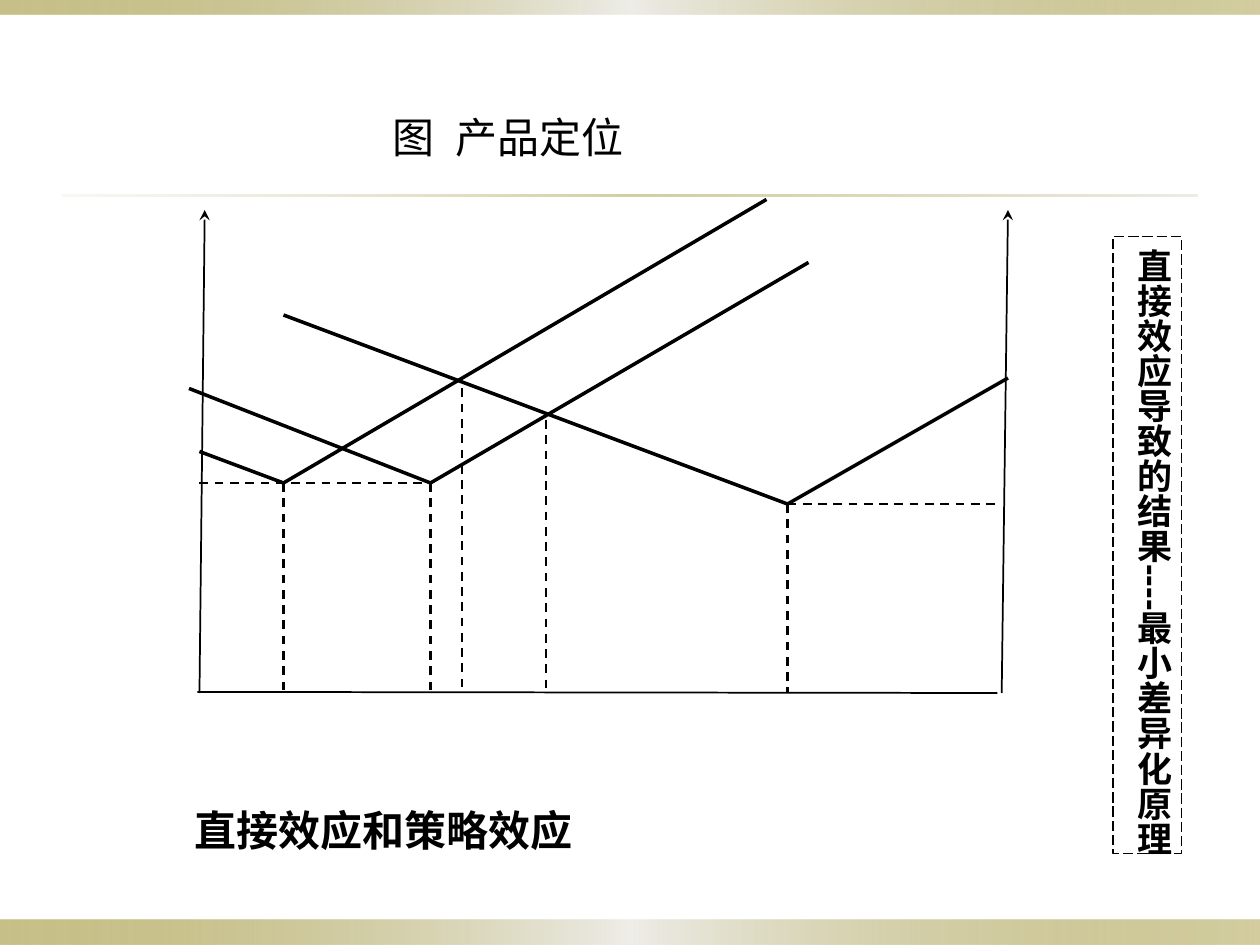
from lxml import etree
from pptx import Presentation, util as u
from pptx.dml.color import RGBColor
from pptx.enum import dml, shapes, text
from pptx.oxml.ns import qn

BLACK = RGBColor(0, 0, 0)
OLIVE = RGBColor(0x91, 0x84, 0x15)
PALE = RGBColor(0xEE, 0xED, 0xE8)
SAND = RGBColor(0xDC, 0xD9, 0xCC)
CELL = u.Inches(10) // 120  # grid of 120 columns by 90 rows


def grid(*cells):
    return [round(c * CELL) for c in cells]


def band(slide, box, stops):
    """Gradient strip; each stop is a colour and its opacity in percent."""
    bar = slide.shapes.add_shape(shapes.MSO_SHAPE.RECTANGLE, *grid(*box))
    bar.shadow.inherit = False
    bar.line.fill.background()
    bar.fill.gradient()
    bar.fill.gradient_angle = 0
    row = bar._element.spPr.find(qn("a:gradFill")).find(qn("a:gsLst"))
    for old in list(row):
        row.remove(old)
    for i, (tint, alpha) in enumerate(stops):
        stop = etree.SubElement(row, qn("a:gs"), pos=str(i * 50000))
        clr = etree.SubElement(stop, qn("a:srgbClr"), val=str(tint))
        etree.SubElement(clr, qn("a:alpha"), val=str(alpha * 1000))


def frame(slide):
    """Strips at the bottom and top, and the rule under the title."""
    edge = [(OLIVE, 50), (PALE, 100), (OLIVE, 40)]
    band(slide, (0, 87.6, 120, 2.4), edge)
    band(slide, (0, 0, 120, 1.4), edge)
    band(slide, (6, 18.5, 108, 0.25), [(SAND, 20), (OLIVE, 40), (SAND, 50)])


def stroke(slide, box, ends, width, dash=None, arrow=False):
    """Line between two points counted from the corner of the box."""
    left, top = box[:2]
    x1, y1, x2, y2 = ends
    line = slide.shapes.add_connector(
        shapes.MSO_CONNECTOR.STRAIGHT,
        *grid(left + x1, top + y1, left + x2, top + y2))
    line.line.color.rgb = BLACK
    line.line.width = u.Pt(width)
    if dash:
        line.line.dash_style = dash
    if arrow:
        etree.SubElement(line.line._get_or_add_ln(), qn("a:headEnd"), type="stealth")
    etree.SubElement(line._element.spPr, qn("a:effectLst"))


def chart(slide, box):
    """Two axes on a base line, three V-shaped cost curves and their guides."""
    wide, base = box[2:]
    low, deep = 27, 29         # rows of the curve bottoms
    one, two, rival = 9, 23, 57  # columns of the three firms
    # Axes
    stroke(slide, box, (0.8, base - 0.1, wide - 1, base), 1)
    stroke(slide, box, (1.5, 1, 1, base), 1, arrow=True)
    stroke(slide, box, (wide, 1, wide - 0.6, base), 1, arrow=True)
    # Curves: firm's bottom, then the far ends of its arms
    for x, y, *arms in ((one, low, (1, 24), (55, 0)),
                        (two, low, (0, 18), (59, 6)),
                        (rival, deep, (9, 11), (wide, 17))):
        for arm in arms:
            stroke(slide, box, (x, y, *arm), 2)
    # Dashed guides
    drops = [(x, y, x, base) for x, y in
             ((one, low), (two, low), (26, 18), (34, 21), (rival, deep))]
    levels = [(1, low, two, low), (rival, deep, wide - 1, deep)]
    for ends in drops + levels:
        stroke(slide, box, ends, 1.25, dml.MSO_LINE.DASH)


def write(shape, runs, size, bold=False):
    """Centred black text; each run is its words and extra letter spacing."""
    body = shape.text_frame
    body.word_wrap = False
    body.auto_size = text.MSO_AUTO_SIZE.SHAPE_TO_FIT_TEXT
    body.vertical_anchor = text.MSO_ANCHOR.TOP
    para = body.paragraphs[0]
    para.alignment = text.PP_ALIGN.CENTER
    for words, gap in runs:
        run = para.add_run()
        run.text = words
        run.font.name = "Arial"
        run.font.size = u.Pt(size)
        run.font.bold = bold
        run.font.color.rgb = BLACK
        if gap:
            run._r.get_or_add_rPr().set("spc", str(gap))


def label(slide, box, runs, bold=False):
    write(slide.shapes.add_textbox(*grid(*box)), runs, 24, bold)


def side(slide, box):
    """Dashed box with text that runs downwards."""
    note = slide.shapes.add_shape(shapes.MSO_SHAPE.RECTANGLE, *grid(*box))
    note.shadow.inherit = False
    note.fill.background()
    note.line.color.rgb = BLACK
    note.line.width = u.Pt(0.75)
    note.line.dash_style = dml.MSO_LINE.LONG_DASH
    write(note, [("直接效应导致的结果----最小差异化原理", 0)], 20, True)
    note.text_frame._txBody.bodyPr.set("vert", "eaVert")


def main():
    deck = Presentation()
    deck.slide_width, deck.slide_height = grid(120, 90)
    slide = deck.slides.add_slide(deck.slide_layouts[6])
    frame(slide)
    chart(slide, (18, 19, 78, 47))
    label(slide, (36, 10, 24.8, 6.1), [("图", 0), (" ", 670), ("产品定位", 0)])
    label(slide, (17, 76, 39, 6), [("直接效应和策略效应", 0)], True)
    side(slide, (106, 22.5, 6.5, 58.8))
    deck.save("out.pptx")


if __name__ == "__main__":
    main()
